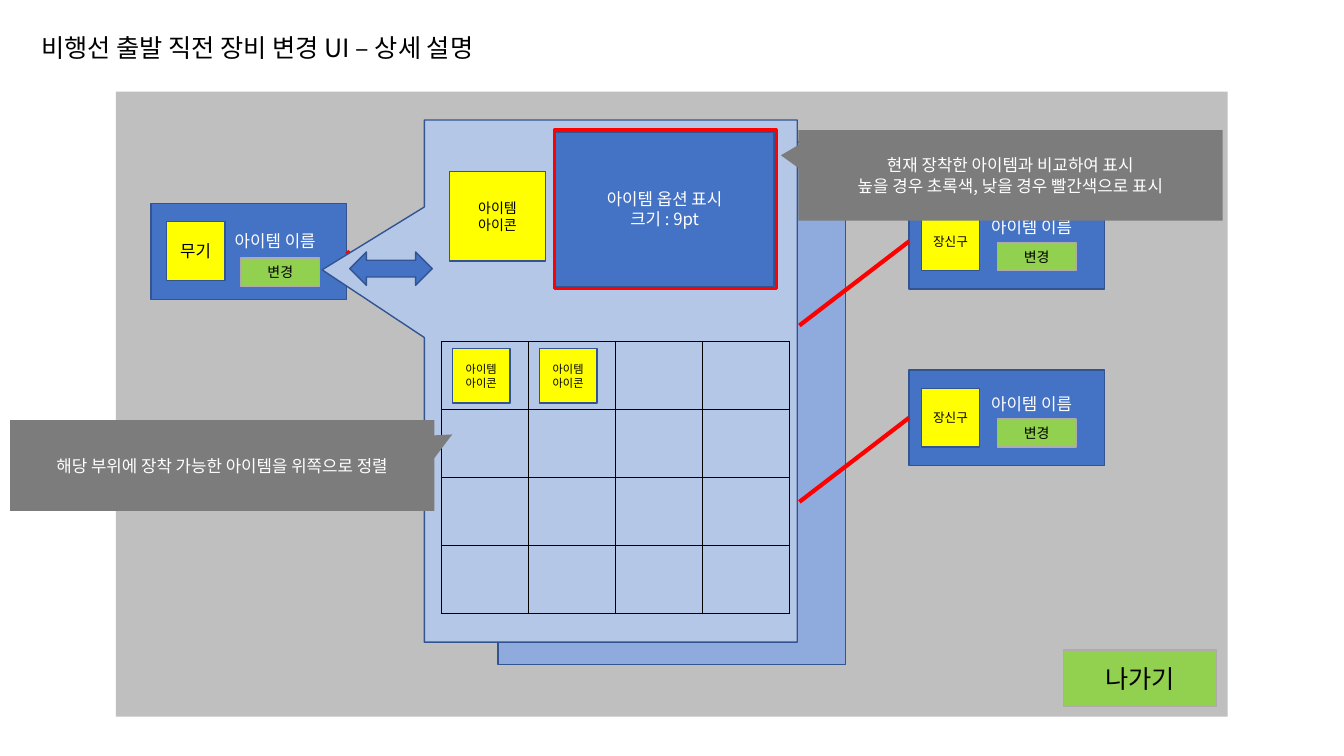
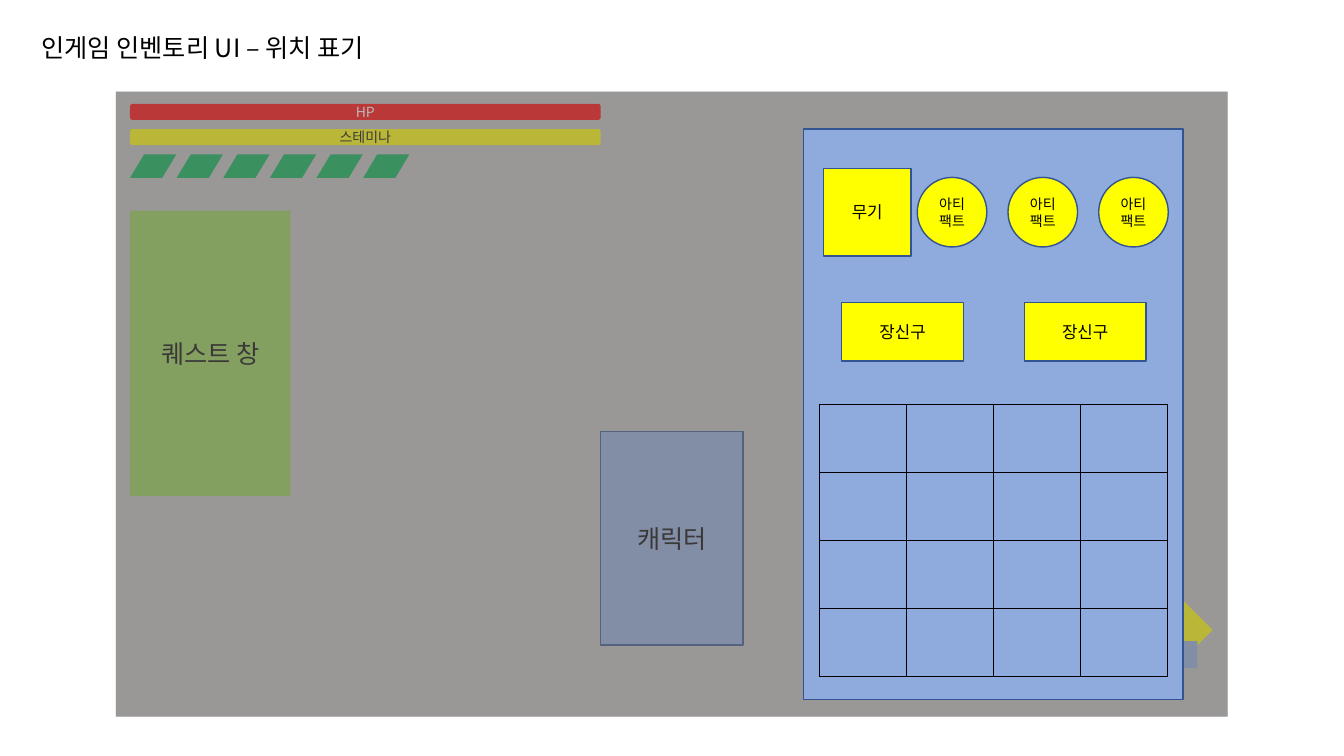
"""Build two game UI wireframe slides: equipment change details and inventory layout."""
from pptx import Presentation
from pptx.dml.color import RGBColor
from pptx.enum.shapes import MSO_CONNECTOR, MSO_SHAPE
from pptx.enum.text import MSO_ANCHOR, MSO_AUTO_SIZE, PP_ALIGN
from pptx.oxml.ns import qn
from pptx.util import Pt
from lxml.etree import SubElement

COLORS = {
    "black": "000000", "white": "FFFFFF", "stage": "BFBFBF", "shade": "767171",
    "panel": "8FAADC", "popup": "B4C7E7", "card": "4472C4", "edge": "325491",
    "slot": "FFFF00", "button": "92D050", "button_edge": "AFABAB",
    "red": "FF0000", "green": "00B050", "note": "7C7C7C",
}
FONT = "Noto Sans CJK KR"
STAGE = (82.8, 65.5, 794.2, 446.4)
CENTERED = {"word_wrap": True, "vertical_anchor": MSO_ANCHOR.MIDDLE,
            "margin_left": 0, "margin_right": 0, "margin_top": 0, "margin_bottom": 0}
LABEL = {"word_wrap": True, "auto_size": MSO_AUTO_SIZE.NONE,
         "vertical_anchor": MSO_ANCHOR.TOP, "margin_left": Pt(7.2),
         "margin_right": Pt(7.2), "margin_top": Pt(3.6), "margin_bottom": Pt(3.6)}
PLAIN_TABLE = {"first_row": False, "horz_banding": False}


def rgb(name):
    return RGBColor.from_string(COLORS[name])


def apply(target, values):
    for key, value in values.items():
        setattr(target, key, value)


class Deck:
    def __init__(self):
        self.prs = Presentation()
        apply(self.prs, {"slide_width": Pt(960), "slide_height": Pt(540)})
        self.s = None

    def slide(self, title):
        self.s = self.prs.slides.add_slide(self.prs.slide_layouts[5])
        sp = self.s.shapes.title
        apply(sp, {"left": Pt(22.3), "top": Pt(19.4), "width": Pt(600), "height": Pt(29)})
        self.set_text(sp.text_frame, title, 18, "black", LABEL, PP_ALIGN.LEFT)

    def set_text(self, tf, text, size, color, frame=CENTERED, align=PP_ALIGN.CENTER):
        apply(tf, frame)
        for i, line in enumerate(text.split("\n")):
            p = tf.add_paragraph() if i else tf.paragraphs[0]
            p.alignment = align
            r = p.add_run()
            r.text = line
            apply(r.font, {"name": FONT, "size": Pt(size), "bold": False})
            r.font.color.rgb = rgb(color)
            SubElement(r.font._element, qn("a:ea")).set("typeface", FONT)

    def shape(self, box, fill=None, text="", size=12, color="black", edge=None,
              weight=1, kind=MSO_SHAPE.RECTANGLE, adj=(), alpha=None):
        sp = self.s.shapes.add_shape(kind, *map(Pt, box))
        sp.shadow.inherit = False
        for i, value in enumerate(adj):
            sp.adjustments[i] = value
        if fill:
            sp.fill.solid()
            sp.fill.fore_color.rgb = rgb(fill)
        else:
            sp.fill.background()
        if alpha:
            clr = sp._element.spPr.find(".//" + qn("a:srgbClr"))
            SubElement(clr, qn("a:alpha")).set("val", str(alpha * 1000))
        if edge:
            sp.line.color.rgb = rgb(edge)
            sp.line.width = Pt(weight)
        else:
            sp.line.fill.background()
        if text:
            self.set_text(sp.text_frame, text, size, color)
        return sp

    def slot(self, box, text, size, kind=MSO_SHAPE.RECTANGLE):
        self.shape(box, "slot", text, size, edge="edge", kind=kind)

    def button(self, box, text, size):
        self.shape(box, "button", text, size, edge="button_edge")

    def label(self, box, text, size, color):
        tf = self.s.shapes.add_textbox(*map(Pt, box)).text_frame
        self.set_text(tf, text, size, color, LABEL, PP_ALIGN.LEFT)

    def note(self, box, text, adj):
        self.shape(box, "note", text, 12, "white",
                   kind=MSO_SHAPE.RECTANGULAR_CALLOUT, adj=adj)

    def link(self, sp, side, x, y):
        c = self.s.shapes.add_connector(MSO_CONNECTOR.STRAIGHT, 0, 0, Pt(x), Pt(y))
        c.begin_connect(sp, side)
        c.line.color.rgb = rgb("red")
        c.line.width = Pt(3)
        SubElement(c._element.spPr, qn("a:effectLst"))

    def card(self, x, y, part, size, icon, name, change):
        sp = self.shape((x, y, 139.7, 68.4), "card", edge="edge")
        self.slot((x + icon[0], y + icon[1], 41.8, 41.8), part, size)
        self.label((x + name[0], y + name[1], 79.2, 21.6), "아이템 이름", 12, "white")
        self.button((x + change[0], y + change[1], 56.2, 20.2), "변경", 10)
        return sp

    def grid(self, x, y, rows=4, cols=4, width=62.1, height=48.6):
        table = self.s.shapes.add_table(rows, cols, Pt(x), Pt(y),
                                        Pt(cols * width), Pt(rows * height)).table
        apply(table, PLAIN_TABLE)
        for cell in table.iter_cells():
            tc_pr = cell._tc.get_or_add_tcPr()
            for side in ("lnL", "lnR", "lnT", "lnB"):
                ln = SubElement(tc_pr, qn("a:" + side), w=str(Pt(1)))
                fill = SubElement(ln, qn("a:solidFill"))
                SubElement(fill, qn("a:srgbClr"), val=COLORS["black"])
            cell.fill.background()


def equipment_slide(deck):
    deck.slide("비행선 출발 직전 장비 변경 UI – 상세 설명")
    deck.shape(STAGE, "stage")
    deck.shape((355.7, 101.5, 248.4, 373), "panel", edge="edge")
    weapon = deck.card(108, 145.4, "무기", 12, (10.8, 13), (52.6, 15.8), (64.1, 38.9))
    deck.link(weapon, 3, 382.3, 295.2)
    for y in (138.2, 264.2):
        trinket = deck.card(649.4, y, "장신구", 9, (8.6, 13.3), (51.5, 13.3), (63, 35))
        deck.link(trinket, 1, 571, y + 94.3)

    deck.shape((303.1, 85.7, 266.4, 373), "popup", edge="edge",
               kind=MSO_SHAPE.RECTANGULAR_CALLOUT, adj=(-0.774, -0.213))
    deck.slot((321.1, 122.4, 68.4, 64.1), "아이템\n아이콘", 10)
    deck.shape((396.7, 94.3, 156.2, 110.2), "card", "아이템 옵션 표시\n크기 : 9pt",
               12, "white", edge="edge")
    deck.grid(315.4, 244.1)
    for col in range(2):
        deck.slot((323.3 + col * 62.1, 249.1, 41, 38.9), "아이템\n아이콘", 8)
    deck.shape((249.8, 180, 59, 23.8), "card", edge="edge",
               kind=MSO_SHAPE.LEFT_RIGHT_ARROW)
    deck.shape((396, 92.9, 158.4, 113), edge="red", weight=2.25)
    deck.note((570.2, 92.9, 303.1, 64.8),
              "현재 장착한 아이템과 비교하여 표시\n높을 경우 초록색, 낮을 경우 빨간색으로 표시",
              (-0.541, -0.221))
    deck.note((7.2, 300.2, 303.1, 64.8),
              "해당 부위에 장착 가능한 아이템을 위쪽으로 정렬", (0.542, -0.343))
    deck.button((759.6, 464.4, 109.4, 40.3), "나가기", 18)


def inventory_slide(deck):
    deck.slide("인게임 인벤토리 UI – 위치 표기")
    deck.shape(STAGE, "stage")
    deck.shape((429.1, 308.2, 101.5, 152.6), "panel", "캐릭터", 18, edge="edge")
    bars = (("HP", "red", "white"), ("스테미나", "slot", "black"))
    for i, (text, fill, color) in enumerate(bars):
        deck.shape((92.9, 74.2 + i * 18, 336.2, 11.5), fill, text, 10, color,
                   kind=MSO_SHAPE.ROUNDED_RECTANGLE)
    diamond = deck.shape((824.4, 432.7, 34.6, 34.6), "slot")
    diamond.rotation = 45
    deck.shape((828.7, 457.9, 26.6, 19.4), "panel")
    for i in range(6):
        deck.shape((92.9 + i * 33.3, 110.2, 33.1, 16.9), "green",
                   kind=MSO_SHAPE.PARALLELOGRAM, adj=(0.599,))
    deck.shape((92.9, 150.5, 114.5, 203.8), "button", "퀘스트 창", 18)
    deck.shape(STAGE, "shade", alpha=50)

    deck.shape((573.8, 92.2, 271.4, 407.5), "panel", edge="edge")
    deck.grid(585.4, 288.7)
    deck.slot((588.2, 120.2, 62.6, 62.6), "무기", 12)
    for i in range(2):
        deck.slot((601.2 + i * 130.4, 216, 87.1, 41.8), "장신구", 12)
    for i in range(3):
        deck.slot((655.2 + i * 64.8, 126.7, 49.7, 49.7), "아티\n팩트", 10, MSO_SHAPE.OVAL)


def main():
    deck = Deck()
    equipment_slide(deck)
    inventory_slide(deck)
    deck.prs.save("out.pptx")


if __name__ == "__main__":
    main()
